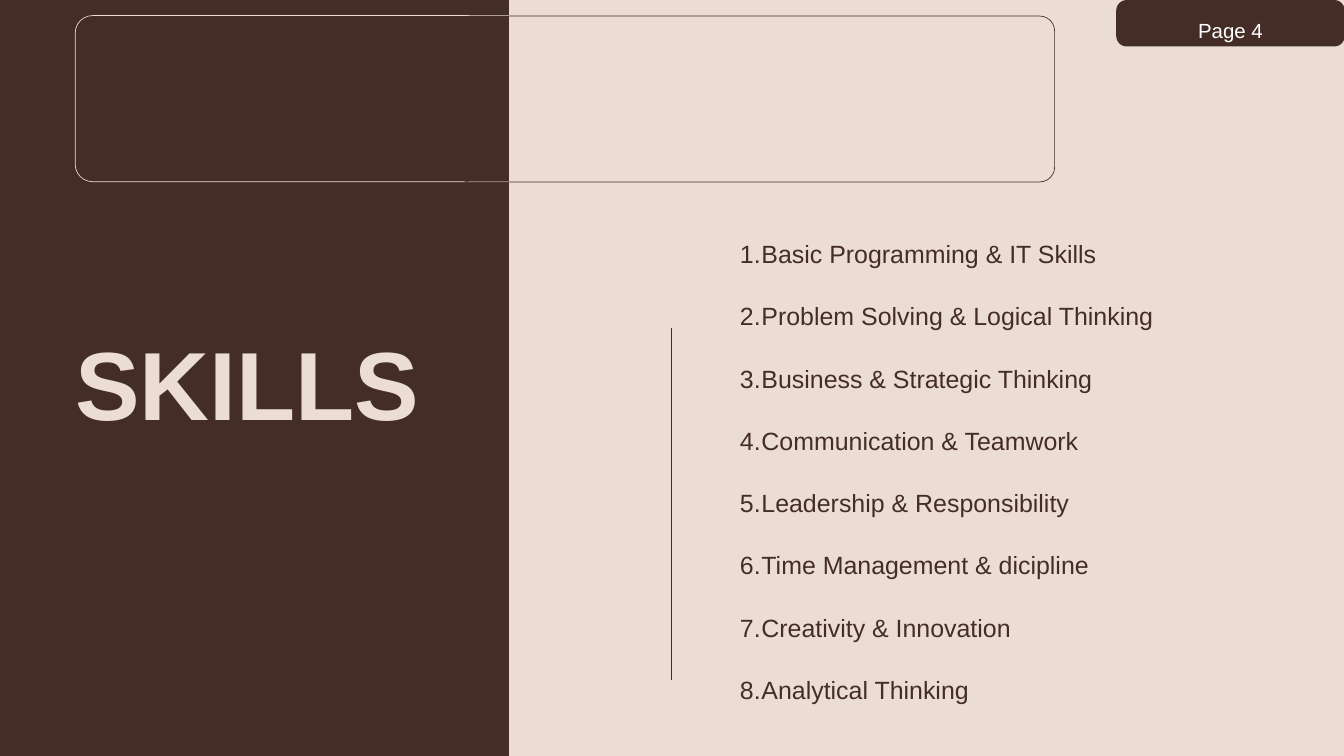
from dataclasses import dataclass
from typing import Optional

import pptx
import pptx.dml.color
import pptx.enum.shapes
import pptx.enum.text
import pptx.oxml
import pptx.oxml.ns
import pptx.util

Pt = pptx.util.Pt
Align = pptx.enum.text.PP_ALIGN
Anchor = pptx.enum.text.MSO_ANCHOR
AutoSize = pptx.enum.text.MSO_AUTO_SIZE

COLOURS = {"brown": "442D26", "cream": "ECDDD4", "white": "FFFFFF"}
FONT = "Arial"
LINE_WIDTH = 0.75
SKILLS = [
    "Basic Programming & IT Skills",
    "Problem Solving & Logical Thinking",
    "Business & Strategic Thinking",
    "Communication & Teamwork",
    "Leadership & Responsibility",
    "Time Management & dicipline",
    "Creativity & Innovation",
    "Analytical Thinking",
]


@dataclass
class Area:
    left: float
    top: float
    width: float
    height: float

    def lengths(self) -> list:
        return [Pt(v) for v in (self.left, self.top, self.width, self.height)]


@dataclass
class RoundedPanel:
    area: Area
    radius: float
    fill: Optional[str] = None
    line: Optional[str] = None


PAGE_TAB = RoundedPanel(Area(1196, 0, 244.8, 49.8), 11.2, fill="brown")
SIDE_PANEL = RoundedPanel(Area(-51.8, -34.6, 597, 879.8), 4.4, fill="brown")
LEFT_FRAME = RoundedPanel(Area(80.6, 16.7, 573.8, 178), 18.7, line="cream")
RIGHT_FRAME = RoundedPanel(Area(487.4, 17.2, 642.6, 177.8), 16, line="brown")


def colour(name: str) -> pptx.dml.color.RGBColor:
    return pptx.dml.color.RGBColor.from_string(COLOURS[name])


def set_line(line, name: str) -> None:
    line.color.rgb = colour(name)
    line.width = Pt(LINE_WIDTH)


def draw_panel(page, panel: RoundedPanel) -> None:
    shape = page.shapes.add_shape(
        pptx.enum.shapes.MSO_SHAPE.ROUNDED_RECTANGLE, *panel.area.lengths())
    shape.shadow.inherit = False
    shape.adjustments[0] = panel.radius / min(panel.area.width, panel.area.height)
    if panel.fill:
        shape.fill.solid()
        shape.fill.fore_color.rgb = colour(panel.fill)
    else:
        shape.fill.background()
    if panel.line:
        set_line(shape.line, panel.line)
    else:
        shape.line.fill.background()


def number_paragraph(para, indent: float, hanging: float) -> None:
    """Give a paragraph automatic numbers of the form 1."""
    para.level = 1
    properties = para._p.get_or_add_pPr()
    properties.set("marL", str(Pt(indent)))
    properties.set("indent", str(-Pt(hanging)))
    number = pptx.oxml.parse_xml(
        f'<a:buAutoNum {pptx.oxml.ns.nsdecls("a")} type="arabicPeriod"/>')
    properties.append(number)


def add_text(page, text: str, area: Area, *, size: float, name: str, spacing: float,
             bold: bool = False, align=Align.LEFT, anchor=Anchor.TOP,
             inset: float = 0, grow: bool = True, numbered: bool = False) -> None:
    """Add a text box with one paragraph for each line of the text."""
    box = page.shapes.add_textbox(*area.lengths())
    frame = box.text_frame
    frame.word_wrap = True
    frame.auto_size = AutoSize.SHAPE_TO_FIT_TEXT if grow else AutoSize.NONE
    frame.vertical_anchor = anchor
    frame.margin_left = frame.margin_right = Pt(inset)
    frame.margin_top = frame.margin_bottom = Pt(inset)
    for index, line in enumerate(text.split("\n")):
        para = frame.add_paragraph() if index else frame.paragraphs[0]
        para.alignment = align
        para.line_spacing = Pt(spacing)
        if numbered:
            number_paragraph(para, indent=45.4, hanging=23)
        span = para.add_run()
        span.text = line
        span.font.name = FONT
        span.font.size = Pt(size)
        span.font.bold = bold
        span.font.color.rgb = colour(name)


def draw_divider(page, x: float, start: float, end: float) -> None:
    divider = page.shapes.add_connector(
        pptx.enum.shapes.MSO_CONNECTOR.STRAIGHT, Pt(x), Pt(start), Pt(x), Pt(end))
    set_line(divider.line, "brown")
    divider._element.spPr.append(
        pptx.oxml.parse_xml(f'<a:effectLst {pptx.oxml.ns.nsdecls("a")}/>'))


def main() -> None:
    deck = pptx.Presentation()
    deck.slide_width, deck.slide_height = Pt(1440), Pt(810)
    page = deck.slides.add_slide(deck.slide_layouts[6])
    page.background.fill.solid()
    page.background.fill.fore_color.rgb = colour("cream")

    draw_panel(page, PAGE_TAB)
    add_text(page, "Page 4", Area(1196, 25.6, 244.8, 24.2), size=21.9, name="white",
             spacing=16.2, align=Align.CENTER, anchor=Anchor.MIDDLE, inset=4, grow=False)
    draw_panel(page, SIDE_PANEL)
    add_text(page, "SKILLS", Area(80.6, 367.2, 378.7, 108.7), size=103.7, name="cream",
             spacing=103.7, bold=True)
    add_text(page, "\n".join(SKILLS), Area(770.4, 221, 608.4, 589), size=26.7,
             name="brown", spacing=66.7, numbered=True)
    for frame in (LEFT_FRAME, RIGHT_FRAME):
        draw_panel(page, frame)
    draw_divider(page, 719.3, 728.6, 351.4)

    deck.save("out.pptx")


if __name__ == "__main__":
    main()
